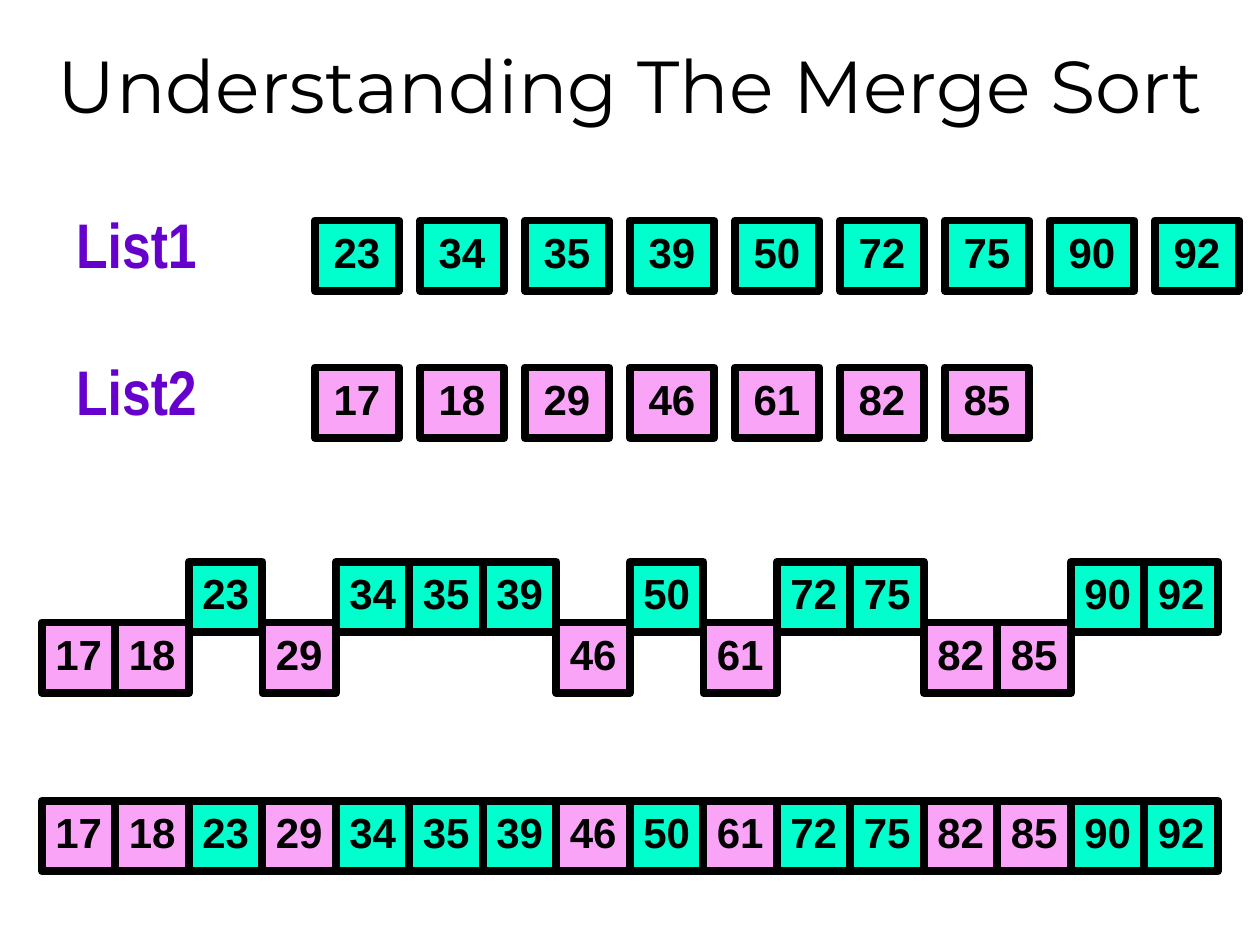
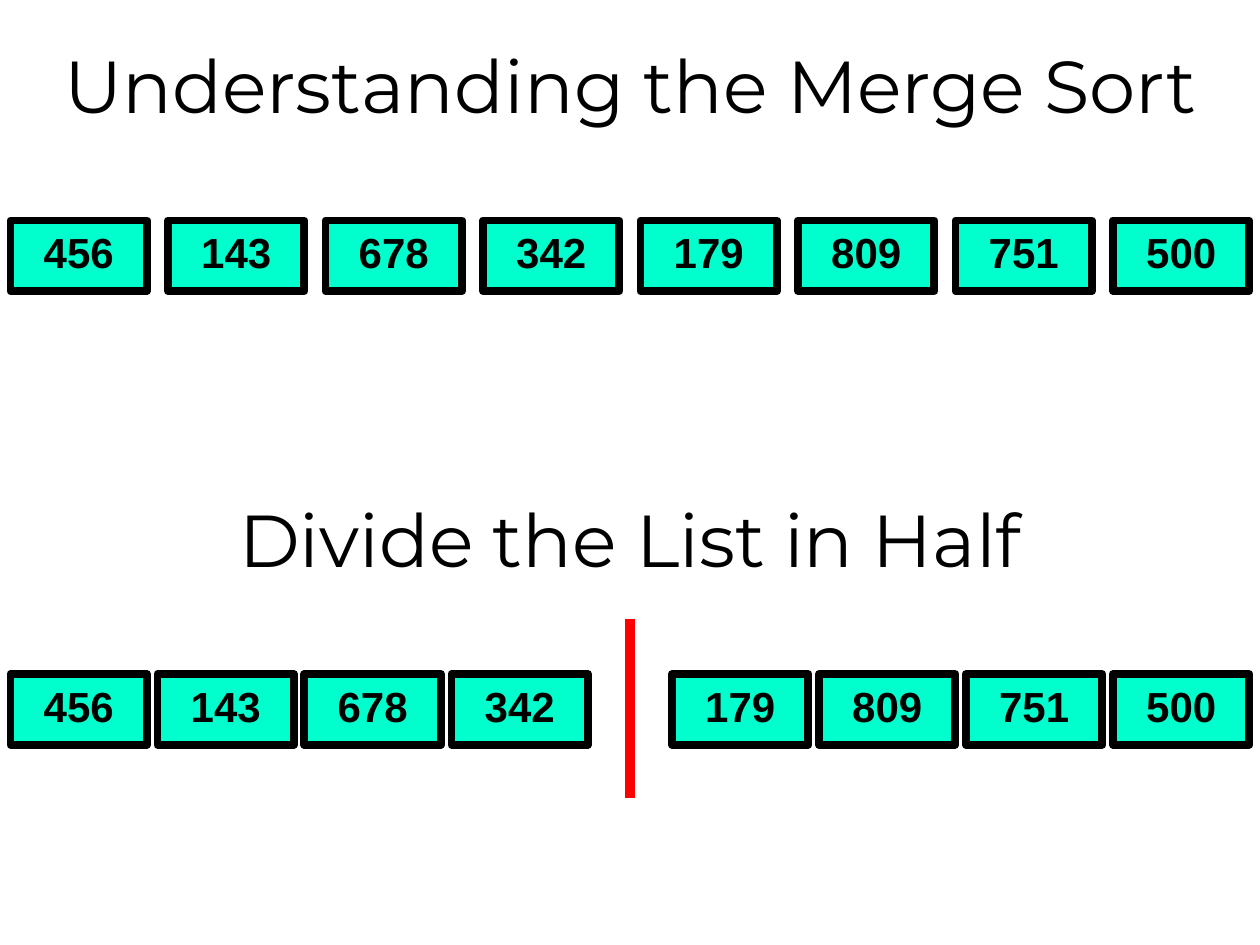
from dataclasses import dataclass

from lxml.etree import SubElement
from pptx import Presentation
from pptx.dml.color import RGBColor
from pptx.enum.shapes import MSO_CONNECTOR, MSO_SHAPE
from pptx.enum.text import MSO_ANCHOR as Anchor, MSO_AUTO_SIZE as AutoSize, PP_ALIGN as Align
from pptx.oxml import parse_xml
from pptx.oxml.ns import nsdecls, qn
from pptx.util import Pt


@dataclass(frozen=True)
class Theme:
    black: RGBColor = RGBColor(0x00, 0x00, 0x00)
    green: RGBColor = RGBColor(0x00, 0xFF, 0xCC)
    pink: RGBColor = RGBColor(0xFA, 0xA4, 0xF8)
    red: RGBColor = RGBColor(0xFF, 0x00, 0x00)
    label_top: RGBColor = RGBColor(0x66, 0x00, 0xCC)
    label_bottom: RGBColor = RGBColor(0xCC, 0x00, 0xCC)
    label_outline: str = "CC99FF"
    title_font: str = "Montserrat"
    value_font: str = "Arial"
    label_font: str = "Arial Narrow"
    title_size: int = 42
    value_size: int = 24
    label_size: int = 36
    cell_height: float = 40.4
    cell_border: float = 4.5
    divider_width: int = 6


THEME = Theme()
LIST1 = [23, 34, 35, 39, 50, 72, 75, 90, 92]
LIST2 = [17, 18, 29, 46, 61, 82, 85]
UNSORTED = [456, 143, 678, 342, 179, 809, 751, 500]


def apply(target, formats):
    for name, value in formats.items():
        setattr(target, name, value)


def write_text(box, text, font_format, frame_format):
    frame = box.text_frame
    apply(frame, frame_format)
    para = frame.paragraphs[0]
    para.alignment = Align.CENTER
    span = para.add_run()
    span.text = text
    apply(span.font, font_format)
    return span


def write_heading(box, text, top=0):
    apply(box, {"left": 0, "top": Pt(top), "width": Pt(720), "height": Pt(96)})
    span = write_text(
        box, text,
        {"name": THEME.title_font, "size": Pt(THEME.title_size), "bold": False},
        {"word_wrap": True, "vertical_anchor": Anchor.MIDDLE, "auto_size": AutoSize.NONE},
    )
    span.font.color.rgb = THEME.black


def add_page(deck, title):
    page = deck.slides.add_slide(deck.slide_layouts[5])
    write_heading(page.shapes.title, title)
    return page


def add_subheading(page, text, top):
    write_heading(page.shapes.add_textbox(0, Pt(top), Pt(720), Pt(96)), text, top)


def add_cell(page, value, left, top, width, color, inset):
    box = page.shapes.add_shape(
        MSO_SHAPE.RECTANGLE, Pt(left), Pt(top), Pt(width), Pt(THEME.cell_height))
    box.shadow.inherit = False
    box.fill.solid()
    box.fill.fore_color.rgb = color
    box.line.color.rgb = THEME.black
    box.line.width = Pt(THEME.cell_border)
    span = write_text(
        box, str(value),
        {"name": THEME.value_font, "size": Pt(THEME.value_size), "bold": True},
        {"margin_left": Pt(inset), "margin_right": Pt(inset),
         "vertical_anchor": Anchor.TOP, "auto_size": AutoSize.SHAPE_TO_FIT_TEXT},
    )
    span.font.color.rgb = THEME.black


def add_row(page, values, left, top, width, step, color=THEME.green):
    for index, value in enumerate(values):
        add_cell(page, value, left + index * step, top, width, color, 7.2)


def add_merged_row(page, list1_top, list2_top):
    merged = sorted(LIST1 + LIST2)
    for values, top, color in ((LIST1, list1_top, THEME.green), (LIST2, list2_top, THEME.pink)):
        for value in values:
            add_cell(page, value, 24 + 42 * merged.index(value), top, 42, color, 3.6)


def add_list_label(page, text, top):
    box = page.shapes.add_textbox(Pt(18), Pt(top), Pt(120), Pt(66))
    span = write_text(
        box, text,
        {"name": THEME.label_font, "size": Pt(THEME.label_size), "bold": True},
        {"word_wrap": False},
    )
    fill = span.font.fill
    fill.gradient()
    fill.gradient_angle = 270
    for stop, color in zip(fill.gradient_stops, (THEME.label_top, THEME.label_bottom)):
        stop.color.rgb = color
    outline = parse_xml(
        f'<a:ln {nsdecls("a")} w="{Pt(0.75)}"><a:solidFill>'
        f'<a:srgbClr val="{THEME.label_outline}"/></a:solidFill></a:ln>')
    span.font.fill
    span._r.get_or_add_rPr().insert(0, outline)


def add_divider(page, left, top, bottom):
    line = page.shapes.add_connector(
        MSO_CONNECTOR.STRAIGHT, Pt(left), Pt(top), Pt(left), Pt(bottom))
    line.line.color.rgb = THEME.red
    line.line.width = Pt(THEME.divider_width)
    SubElement(line._element.spPr, qn("a:effectLst"))


def build_merge_page(deck):
    page = add_page(deck, "Understanding The Merge Sort")
    for label, values, top, color in (
        ("List1", LIST1, 126, THEME.green),
        ("List2", LIST2, 210, THEME.pink),
    ):
        add_row(page, values, 180, top, 48, 60, color)
        add_list_label(page, label, top - 12)
    add_merged_row(page, 321, 355.7)
    add_merged_row(page, 457.5, 457.5)


def build_divide_page(deck):
    page = add_page(deck, "Understanding the Merge Sort")
    add_row(page, UNSORTED, 6, 126, 78, 90)
    add_subheading(page, "Divide the List in Half", 259.2)
    middle = len(UNSORTED) // 2
    for half, left in ((UNSORTED[:middle], 6), (UNSORTED[middle:], 384)):
        add_row(page, half, left, 385.2, 78, 84)
    add_divider(page, 360, 354, 456)


def main():
    deck = Presentation()
    apply(deck, {"slide_width": Pt(720), "slide_height": Pt(540)})
    build_merge_page(deck)
    build_divide_page(deck)
    deck.save("out.pptx")


if __name__ == "__main__":
    main()
